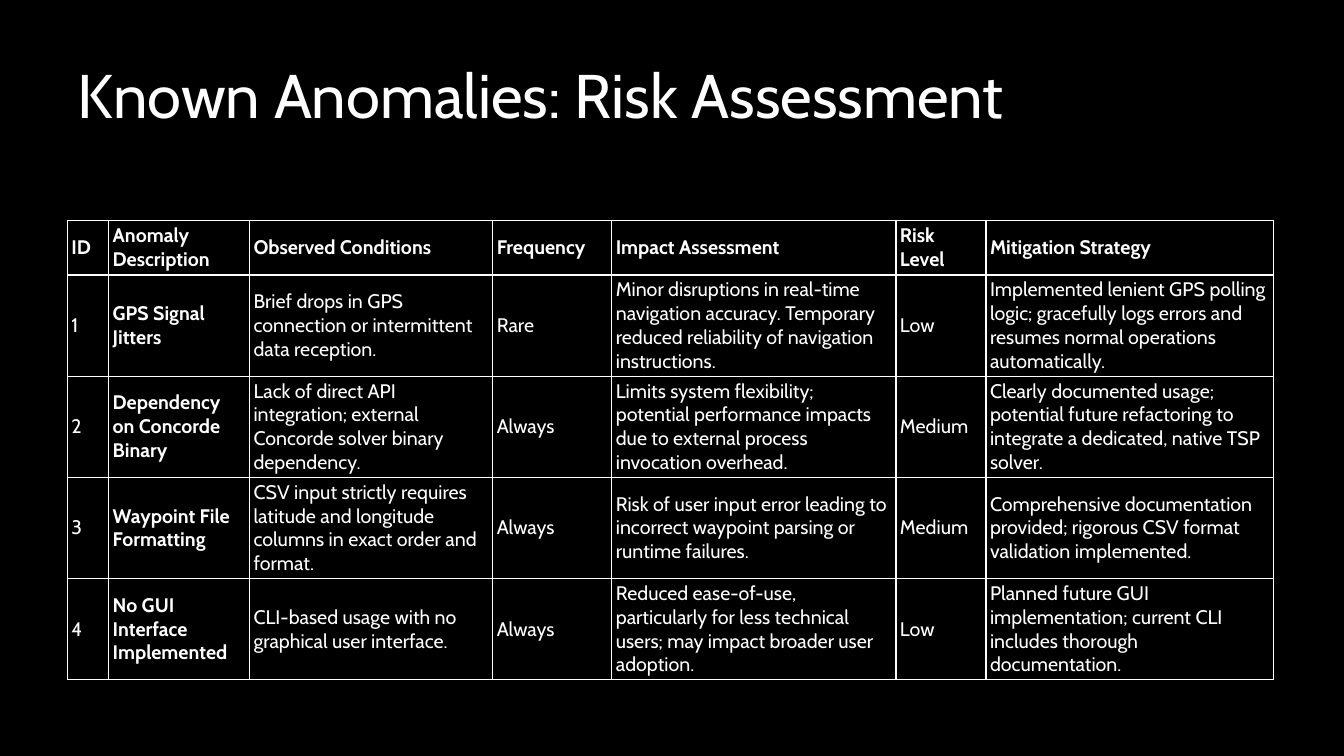
from lxml import etree
from pptx import Presentation
from pptx.dml.color import RGBColor
from pptx.enum.text import MSO_ANCHOR, PP_ALIGN
from pptx.oxml.ns import qn
from pptx.util import Cm, Pt

TOP = MSO_ANCHOR.TOP
MIDDLE = MSO_ANCHOR.MIDDLE
LEFT = PP_ALIGN.LEFT
BLACK = RGBColor(0x00, 0x00, 0x00)
WHITE = RGBColor(0xFF, 0xFF, 0xFF)
FONT = "Cabin"

SIDE_MARGIN = Cm(1.7)
CONTENT_WIDTH = Cm(30.4)
COLUMN_WIDTHS = [1.04, 3.55, 6.13, 3, 7.16, 2.27, 7.25]
HEADER_HEIGHT = Cm(1.37)
ROW_HEIGHT = Cm(2.55)
BOLD_COLUMN = 1

HEADERS = ["ID", "Anomaly Description", "Observed Conditions", "Frequency",
           "Impact Assessment", "Risk Level", "Mitigation Strategy"]
ANOMALIES = [
    ["1", "GPS Signal Jitters",
     "Brief drops in GPS connection or intermittent data reception.",
     "Rare",
     "Minor disruptions in real-time navigation accuracy. Temporary reduced "
     "reliability of navigation instructions.",
     "Low",
     "Implemented lenient GPS polling logic; gracefully logs errors and "
     "resumes normal operations automatically."],
    ["2", "Dependency on Concorde Binary",
     "Lack of direct API integration; external Concorde solver binary dependency.",
     "Always",
     "Limits system flexibility; potential performance impacts due to "
     "external process invocation overhead.",
     "Medium",
     "Clearly documented usage; potential future refactoring to integrate a "
     "dedicated, native TSP solver."],
    ["3", "Waypoint File Formatting",
     "CSV input strictly requires latitude and longitude columns in exact "
     "order and format.",
     "Always",
     "Risk of user input error leading to incorrect waypoint parsing or "
     "runtime failures.",
     "Medium",
     "Comprehensive documentation provided; rigorous CSV format validation "
     "implemented."],
    ["4", "No GUI Interface Implemented",
     "CLI-based usage with no graphical user interface.",
     "Always",
     "Reduced ease-of-use, particularly for less technical users; may impact "
     "broader user adoption.",
     "Low",
     "Planned future GUI implementation; current CLI includes thorough "
     "documentation."],
]


def style_paragraph(paragraph, size, bold=False):
    """Apply the slide's font to a paragraph."""
    paragraph.alignment = LEFT
    font = paragraph.font
    font.name = FONT
    font.size = Pt(size)
    font.bold = bold
    font.color.rgb = WHITE


def set_title(slide, text):
    """Place and format the title placeholder."""
    title = slide.shapes.title
    title.left, title.top = SIDE_MARGIN, Cm(1.52)
    title.width, title.height = CONTENT_WIDTH, Cm(3.15)
    frame = title.text_frame
    frame.text = text
    frame.word_wrap = True
    frame.vertical_anchor = TOP
    paragraph = frame.paragraphs[0]
    paragraph.line_spacing = 0.9
    style_paragraph(paragraph, 44)


def add_borders(cell):
    """Draw a thin white line on each side of a cell."""
    properties = cell._tc.get_or_add_tcPr()
    for side in ("a:lnL", "a:lnR", "a:lnT", "a:lnB"):
        line = etree.SubElement(properties, qn(side), w=str(Pt(1)))
        fill = etree.SubElement(line, qn("a:solidFill"))
        etree.SubElement(fill, qn("a:srgbClr"), val=str(WHITE))


def fill_cell(cell, text, bold):
    """Write and format one table cell."""
    cell.text = text
    cell.vertical_anchor = MIDDLE
    cell.margin_left = cell.margin_right = Cm(0.1)
    cell.margin_top = cell.margin_bottom = Cm(0.05)
    add_borders(cell)
    cell.fill.background()
    style_paragraph(cell.text_frame.paragraphs[0], 14, bold)


def add_anomaly_table(slide):
    """Add the table of anomalies with its header row."""
    rows = [HEADERS] + ANOMALIES
    height = HEADER_HEIGHT + ROW_HEIGHT * len(ANOMALIES)
    frame = slide.shapes.add_table(len(rows), len(HEADERS), SIDE_MARGIN,
                                   Cm(5.56), CONTENT_WIDTH, height)
    table = frame.table
    table.horz_banding = False
    for column, width in zip(table.columns, COLUMN_WIDTHS):
        column.width = Cm(width)
    for row_index, texts in enumerate(rows):
        is_header = row_index == 0
        table.rows[row_index].height = HEADER_HEIGHT if is_header else ROW_HEIGHT
        for column_index, text in enumerate(texts):
            bold = is_header or column_index == BOLD_COLUMN
            fill_cell(table.cell(row_index, column_index), text, bold)


def main():
    """Build and save the presentation."""
    presentation = Presentation()
    presentation.slide_width = Cm(33.87)
    presentation.slide_height = Cm(19.05)
    slide = presentation.slides.add_slide(presentation.slide_layouts[5])
    background = slide.background.fill
    background.solid()
    background.fore_color.rgb = BLACK
    set_title(slide, "Known Anomalies: Risk Assessment")
    add_anomaly_table(slide)
    presentation.save("out.pptx")


if __name__ == "__main__":
    main()
